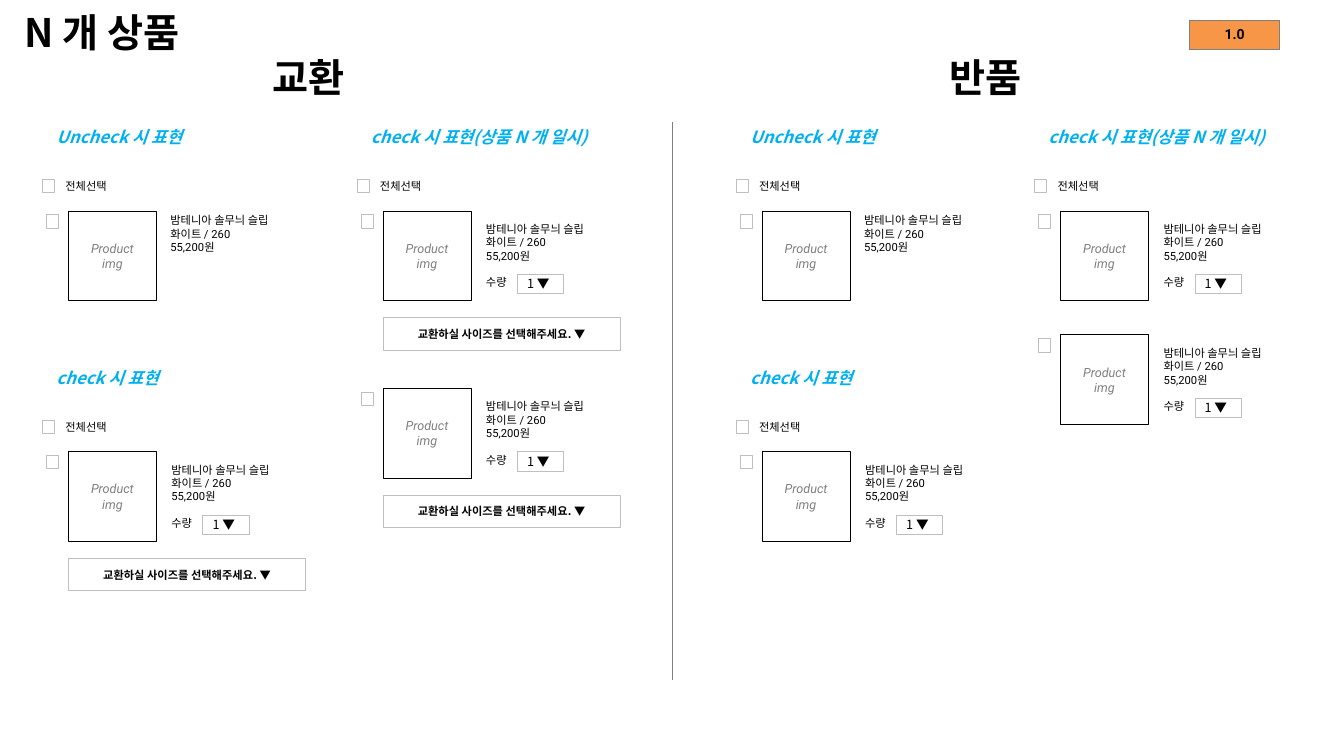
from dataclasses import dataclass
from lxml.etree import SubElement
from pptx import Presentation
from pptx.dml.color import RGBColor
from pptx.enum.shapes import MSO_CONNECTOR, MSO_SHAPE
from pptx.enum.text import MSO_ANCHOR, MSO_AUTO_SIZE, PP_ALIGN
from pptx.oxml.ns import qn
from pptx.util import Pt

SCALE = 9144


@dataclass(frozen=True)
class Theme:
    """Colours, fonts and type sizes of the slide."""
    black: str = "000000"
    white: str = "FFFFFF"
    grey: str = "808080"
    pale: str = "BFBFBF"
    rule: str = "7F7F7F"
    blue: str = "00B0F0"
    orange: str = "F79646"
    noto: str = "Noto Sans CJK KR"
    robot: str = "Roboto"
    arial: str = "Arial"
    head: int = 28
    sub: int = 12
    badge: int = 10
    note: int = 9
    body: int = 8


T = Theme()
GOODS = ["밤테니아 솔무늬 슬립", "화이트 / 260", "55,200원"]


def px(*sides):
    """Turn whole px into EMU."""
    return [side * SCALE for side in sides]


def write(frame, *lines, size=T.body, font=T.noto, color=T.black, bold=False,
          slant=False, align=PP_ALIGN.LEFT, anchor=MSO_ANCHOR.TOP,
          inset=None, wrap=True, grow=False, gap=0):
    """Fill a text frame with lines; gap is the space before the last one."""
    frame.word_wrap = wrap
    frame.auto_size = (MSO_AUTO_SIZE.SHAPE_TO_FIT_TEXT if grow
                       else MSO_AUTO_SIZE.NONE)
    frame.vertical_anchor = anchor
    if inset is not None:
        frame.margin_left = frame.margin_right = inset * SCALE
        frame.margin_top = frame.margin_bottom = inset * SCALE
    for spot, line in enumerate(lines):
        para = frame.add_paragraph() if spot else frame.paragraphs[0]
        para.alignment = align
        if gap and spot == len(lines) - 1:
            para.space_before = Pt(gap)
        run = para.add_run()
        run.text = line
        face = run.font
        face.name, face.size = font, Pt(size)
        face.bold, face.italic = bold, slant
        face.color.rgb = RGBColor.from_string(color)
        SubElement(run._r.get_or_add_rPr(), qn("a:ea"), typeface=T.noto)


def label(slide, box, *lines, **style):
    """Place a text box that grows with its text."""
    frame = slide.shapes.add_textbox(*px(*box)).text_frame
    write(frame, *lines, grow=True, **style)


def block(slide, box, *lines, fill=T.white, edge=T.pale, **style):
    """Place a thin-edged rectangle, with text if given."""
    shape = slide.shapes.add_shape(MSO_SHAPE.RECTANGLE, *px(*box))
    shape.shadow.inherit = False
    if fill:
        shape.fill.solid()
        shape.fill.fore_color.rgb = RGBColor.from_string(fill)
    else:
        shape.fill.background()
    shape.line.color.rgb = RGBColor.from_string(edge)
    shape.line.width = Pt(0.25)
    if lines:
        write(shape.text_frame, *lines, anchor=MSO_ANCHOR.MIDDLE, **style)


def tick(slide, x, y):
    """Place an empty check box."""
    block(slide, (x, y, 12, 13))


def item(slide, x, y, full=True, swap=False):
    """Place one product, with count and size pickers on demand."""
    tick(slide, x - 22, y + 4)
    block(slide, (x, y, 87, 89), "Product", "img", fill=None, edge=T.black,
          size=T.note, font=T.robot, color=T.grey, slant=True,
          align=PP_ALIGN.CENTER, inset=4)
    style = dict(font=T.robot, anchor=MSO_ANCHOR.MIDDLE, inset=4)
    if full:
        label(slide, (x + 98, y + 7, 119, 75), *GOODS, "수량", gap=9.5, **style)
        block(slide, (x + 133, y + 63, 46, 19), "1 ▼", size=T.note)
    else:
        label(slide, (x + 97, y - 1, 119, 48), *GOODS, **style)
    if swap:
        block(slide, (x, y + 106, 235, 32),
              "교환하실 사이즈를 선택해주세요. ▼", bold=True,
              align=PP_ALIGN.CENTER)


def group(slide, x, y, title, width, wrap=False, count=1, step=0, **kind):
    """Place a titled list of products under a select-all box."""
    label(slide, (x + 4, y, width, 30), title, size=T.sub, color=T.blue,
          bold=True, slant=True, wrap=wrap)
    tick(slide, x, y + 57)
    label(slide, (x + 13, y + 52, 222, 24), "전체선택", font=T.arial)
    for spot in range(count):
        item(slide, x + 26, y + 88 + spot * step, **kind)


def side(slide, x, title, shift, step, swap):
    """Place one half of the slide, with its second column at shift."""
    label(slide, (x + shift - 94, 48, 99, 57), title, size=T.head, bold=True,
          wrap=False)
    group(slide, x, 121, "Uncheck 시 표현", 151, full=False)
    group(slide, x, 360, "check 시 표현", 129, swap=swap)
    group(slide, x + shift, 121, "check 시 표현(상품 N 개 일시)", 254,
          wrap=True, count=2, step=step, swap=swap)


def split(slide, x, top, end):
    """Draw the upright rule between the halves."""
    line = slide.shapes.add_connector(MSO_CONNECTOR.STRAIGHT,
                                      *px(x, top, x, end))
    line.line.color.rgb = RGBColor.from_string(T.rule)
    line.line.width = Pt(0.75)
    SubElement(line._element.spPr, qn("a:effectLst"))


def badge(slide, box, text):
    """Place the one-cell version table."""
    table = slide.shapes.add_table(1, 1, *px(*box)).table
    cell = table.cell(0, 0)
    cell.margin_left = cell.margin_right = 0
    cell.margin_top = cell.margin_bottom = 0
    cell.vertical_anchor = MSO_ANCHOR.MIDDLE
    para = cell.text_frame
    write(para, text, size=T.badge, font=T.robot, bold=True,
          align=PP_ALIGN.CENTER)
    cell.vertical_anchor = MSO_ANCHOR.MIDDLE
    props = cell._tc.get_or_add_tcPr()
    for edge in ("lnL", "lnR", "lnT", "lnB"):
        line = SubElement(props, qn(f"a:{edge}"), w=str(Pt(1)))
        paint = SubElement(line, qn("a:solidFill"))
        SubElement(paint, qn("a:srgbClr"), val=T.rule)
    cell.fill.solid()
    cell.fill.fore_color.rgb = RGBColor.from_string(T.orange)


def main():
    """Build and save the slide."""
    deck = Presentation()
    deck.slide_width, deck.slide_height = px(1333, 750)
    slide = deck.slides.add_slide(deck.slide_layouts[6])
    side(slide, 42, "교환", shift=312, step=176, swap=True)
    side(slide, 730, "반품", shift=296, step=123, swap=False)
    split(slide, 667, 121, 675)
    badge(slide, (1180, 20, 89, 29), "1.0")
    label(slide, (14, 3, 192, 57), "N 개 상품", size=T.head, bold=True,
          wrap=False)
    deck.save("out.pptx")


if __name__ == "__main__":
    main()
